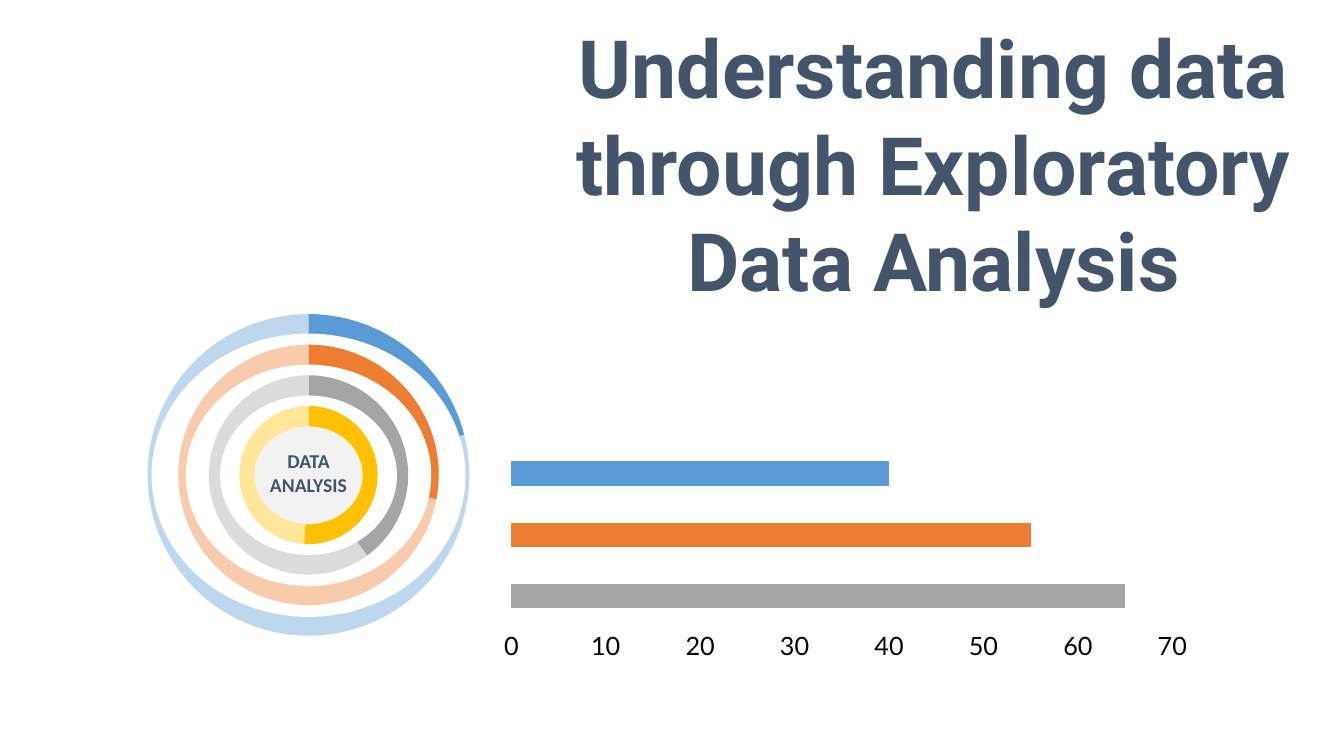
import pptx
import pptx.chart.data
import pptx.dml.color
import pptx.enum.chart
import pptx.enum.shapes
import pptx.enum.text
import pptx.oxml
import pptx.oxml.ns
import pptx.util

WIDTH, HEIGHT = 13.33, 7.5
NAVY = "44546A"
RINGS = [
    ((21, 79), ("5B9BD5", "BDD7EE"), "FFFFFF"),
    ((28, 72), ("ED7D31", "F8CBAD"), "FFFFFF"),
    ((40, 60), ("A5A5A5", "DBDBDB"), "FFFFFF"),
    ((51, 49), ("FFC000", "FFE699"), "F2F2F2"),
]
RING_STEP = 0.19
HOLE_SHARE = 0.87
BARS = (65, 55, 40)
BAR_COLORS = ("A5A5A5", "ED7D31", "5B9BD5")


def color(value):
    return pptx.dml.color.RGBColor.from_string(value)


def inches(box):
    return [pptx.util.Inches(v) for v in box]


def centered(box, share):
    x, y, w, h = box
    return x + w * (1 - share) / 2, y + h * (1 - share) / 2, w * share, h * share


def add_text(s, box, text, font, size, inset):
    sp = s.shapes.add_textbox(*inches(box))
    tf = sp.text_frame
    tf.word_wrap = True
    tf.margin_left = tf.margin_right = pptx.util.Inches(inset[0])
    tf.margin_top = tf.margin_bottom = pptx.util.Inches(inset[1])
    p = tf.paragraphs[0]
    p.alignment = pptx.enum.text.PP_ALIGN.CENTER
    r = p.add_run()
    r.text = text
    r.font.name = font
    r.font.size = pptx.util.Pt(size)
    r.font.bold = True
    r.font.color.rgb = color(NAVY)


def set_plot_layout(chart, x, y, w, h):
    area = chart.element.find(".//" + pptx.oxml.ns.qn("c:plotArea"))
    for old in area.findall(pptx.oxml.ns.qn("c:layout")):
        area.remove(old)
    area.insert(0, pptx.oxml.parse_xml(
        f'<c:layout {pptx.oxml.ns.nsdecls("c")}><c:manualLayout>'
        '<c:layoutTarget val="inner"/><c:xMode val="edge"/><c:yMode val="edge"/>'
        f'<c:x val="{x}"/><c:y val="{y}"/><c:w val="{w}"/><c:h val="{h}"/>'
        '</c:manualLayout></c:layout>'))


def add_chart(s, box, kind, values, colors, font, size, layout):
    data = pptx.chart.data.CategoryChartData()
    data.categories = [str(i + 1) for i in range(len(values))]
    data.add_series("Series 1", values)
    chart = s.shapes.add_chart(kind, *inches(box), data).chart
    chart.has_title = False
    chart.has_legend = False
    chart.font.name = font
    chart.font.size = pptx.util.Pt(size)
    chart.font.color.rgb = color("000000")
    for i, value in enumerate(colors):
        point = chart.plots[0].series[0].points[i]
        point.format.fill.solid()
        point.format.fill.fore_color.rgb = color(value)
        point.format.line.fill.background()
    set_plot_layout(chart, *layout)
    return chart


def add_ring_dial(s, box):
    for i, (values, colors, hole) in enumerate(RINGS):
        add_chart(s, centered(box, 1 - i * RING_STEP),
                  pptx.enum.chart.XL_CHART_TYPE.PIE, values, colors,
                  "Calibri", 10, (0.005, 0.005, 0.99, 0.988))
        sp = s.shapes.add_shape(pptx.enum.shapes.MSO_SHAPE.OVAL,
                                *inches(centered(box, HOLE_SHARE - i * RING_STEP)))
        sp.shadow.inherit = False
        sp.fill.solid()
        sp.fill.fore_color.rgb = color(hole)
        sp.line.fill.background()
    x, y, w, h = box
    label = (x + w * 0.355, y + h * 0.41, w * 0.29, h * 0.11)
    add_text(s, label, "DATA ANALYSIS", "Calibri", 14, (0.03, 0.03))


def add_bars(s, box):
    chart = add_chart(s, box, pptx.enum.chart.XL_CHART_TYPE.BAR_STACKED, BARS,
                      BAR_COLORS, "Lato", 18, (0.03, 0.02, 0.93, 0.81))
    plot = chart.plots[0]
    plot.vary_by_categories = False
    plot.gap_width = 150
    plot.overlap = 100
    chart.category_axis.visible = False
    axis = chart.value_axis
    axis.has_major_gridlines = False
    axis.minimum_scale, axis.maximum_scale, axis.major_unit = 0, 70, 10
    axis.major_tick_mark = pptx.enum.chart.XL_TICK_MARK.NONE
    axis.minor_tick_mark = pptx.enum.chart.XL_TICK_MARK.NONE
    axis.format.line.fill.background()


def main():
    prs = pptx.Presentation()
    prs.slide_width, prs.slide_height = inches((WIDTH, HEIGHT))
    s = prs.slides.add_slide(prs.slide_layouts[6])
    add_text(s, (5.32, 0.13, 7.88, 3),
             "Understanding data through Exploratory Data Analysis",
             "Roboto", 57.5, (0.1, 0.05))
    add_ring_dial(s, (1.27, 3.1, 3.58, 3.23))
    add_bars(s, (4.86, 4.35, 7.05, 2.25))
    prs.save("out.pptx")


if __name__ == "__main__":
    main()
